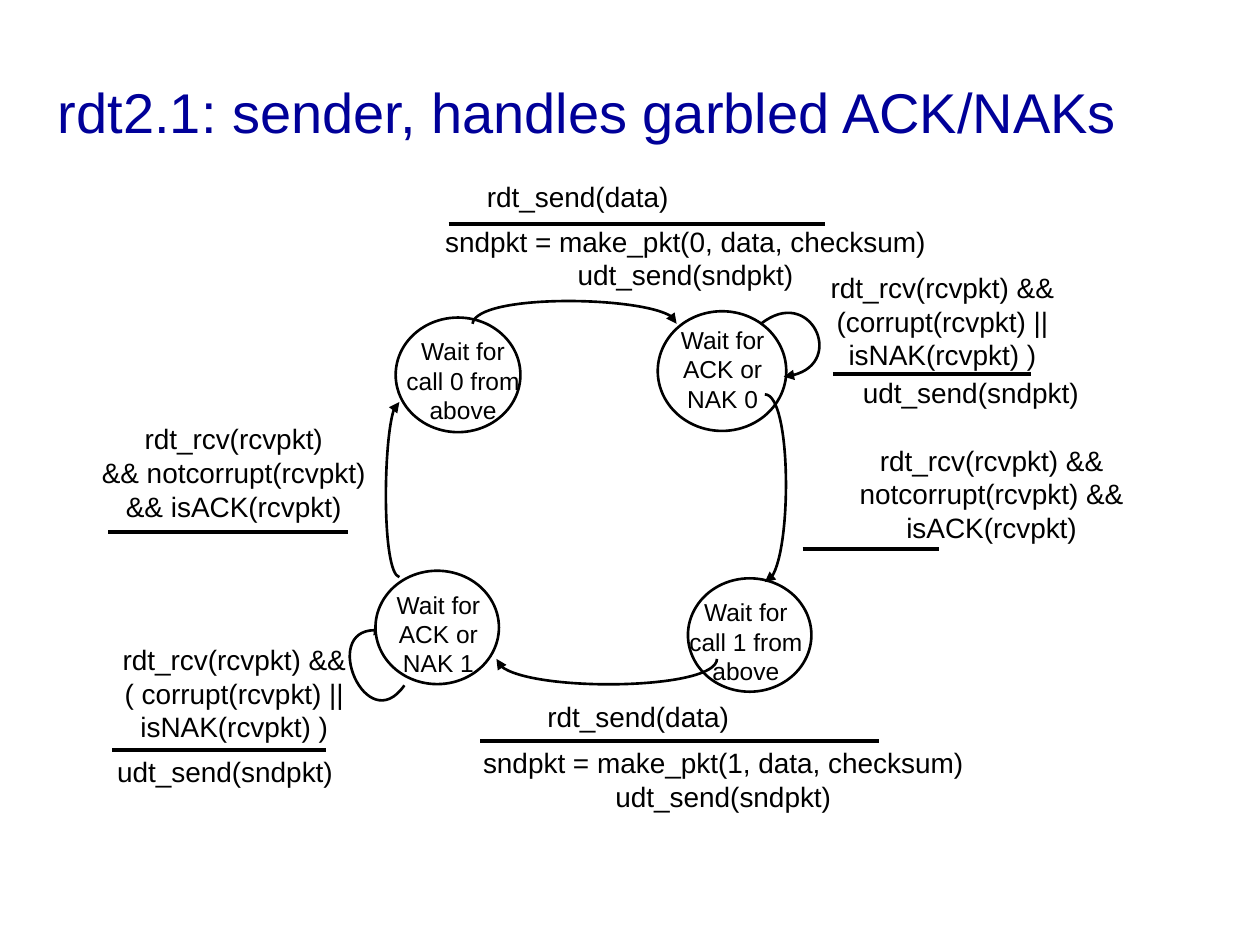
from lxml import etree
from pptx import Presentation
from pptx.dml.color import RGBColor
from pptx.enum.shapes import MSO_CONNECTOR, MSO_SHAPE
from pptx.enum.text import MSO_ANCHOR, PP_ALIGN
from pptx.oxml.ns import qn
from pptx.util import Inches, Pt

OVAL, STRAIGHT = MSO_SHAPE.OVAL, MSO_CONNECTOR.STRAIGHT
LEFT, CENTER = PP_ALIGN.LEFT, PP_ALIGN.CENTER
TOP, MIDDLE = MSO_ANCHOR.TOP, MSO_ANCHOR.MIDDLE
BLACK, WHITE, NAVY = "000000", "FFFFFF", "000099"

TITLE = "rdt2.1: sender, handles garbled ACK/NAKs"
TITLE_BOX = (0.36, 0.26, 9.05, 1.25)

# circle (left, top, width, height), text box, paragraphs
CALL_0 = ((3.14, 2.52, 0.99, 0.91), (3.08, 2.62, 1.19, 0.67),
          ["Wait for call 0 from above"])
ACK_0 = ((5.22, 2.47, 1.02, 0.95), (5.14, 2.53, 1.19, 0.71),
         ["Wait for ACK or NAK 0"])
CALL_1 = ((5.46, 4.59, 0.98, 0.9), (5.31, 4.69, 1.22, 0.67),
          ["Wait for", "call 1 from above"])
ACK_1 = ((2.98, 4.53, 0.98, 0.9), (2.91, 4.63, 1.14, 0.67),
         ["Wait for ACK or NAK 1"])

# start, two control points, arrow tip
TRANSITIONS = [
    [(3.75, 2.57), (3.78, 2.33), (5.37, 2.35), (5.37, 2.57)],
    [(6.04, 2.57), (6.43, 2.26), (6.75, 2.94), (6.22, 2.99)],
    [(6.07, 3.13), (6.28, 3.13), (6.29, 4.59), (6.07, 4.62)],
    [(5.69, 5.23), (5.69, 5.48), (3.97, 5.5), (3.94, 5.23)],
    [(3.21, 5.44), (2.91, 5.87), (2.5, 4.91), (3.05, 5.01)],
    [(3.17, 4.58), (3.03, 4.55), (3.04, 3.19), (3.17, 3.19)],
]

LABELS = [
    ((3.43, 1.38, 2.31, 0.33), ["rdt_send(data)"]),
    ((3.42, 1.73, 4.04, 0.44),
     ["sndpkt = make_pkt(0, data, checksum)", "udt_send(sndpkt)"]),
    ((6.43, 2.1, 2.1, 0.62),
     ["rdt_rcv(rcvpkt) && (corrupt(rcvpkt) || isNAK(rcvpkt) )"]),
    ((6.47, 2.93, 2.47, 0.44), ["udt_send(sndpkt)"]),
    ((6.23, 3.47, 3.28, 0.62),
     ["rdt_rcv(rcvpkt) && notcorrupt(rcvpkt) && isACK(rcvpkt)"]),
    ((3.76, 5.5, 2.61, 0.31), ["rdt_send(data)"]),
    ((3.68, 5.87, 4.12, 0.44),
     ["sndpkt = make_pkt(1, data, checksum)", "udt_send(sndpkt)"]),
    ((0.76, 5.05, 2.2, 0.62),
     ["rdt_rcv(rcvpkt) &&", "( corrupt(rcvpkt) ||", "isNAK(rcvpkt) )"]),
    ((0.79, 5.94, 1.99, 0.3), ["udt_send(sndpkt)"]),
    ((0.7, 3.3, 2.31, 0.62),
     ["rdt_rcv(rcvpkt)", "&& notcorrupt(rcvpkt)", "&& isACK(rcvpkt)"]),
]

# left, right, height on the page of the rule between event and action
RULES = [
    (3.56, 6.55, 1.78), (6.61, 8.18, 2.97), (6.37, 7.45, 4.36),
    (3.81, 6.98, 5.88), (0.89, 2.59, 5.95), (0.86, 2.76, 4.22),
]


def rgb(color):
    return RGBColor.from_string(color)


def inches(values):
    return [Inches(value) for value in values]


def write(shape, paragraphs, size, color=BLACK, align=CENTER, anchor=TOP):
    frame = shape.text_frame
    frame.word_wrap = True
    frame.vertical_anchor = anchor
    frame.text = "\n".join(paragraphs)
    for para in frame.paragraphs:
        para.alignment = align
        font = para.runs[0].font
        for name, value in {"name": "Arial", "size": Pt(size), "bold": False}.items():
            setattr(font, name, value)
        font.color.rgb = rgb(color)


def add_text(page, place, paragraphs, size):
    write(page.shapes.add_textbox(*inches(place)), paragraphs, size)


def set_line(shape, width):
    shape.line.color.rgb = rgb(BLACK)
    shape.line.width = Pt(width)


def add_state(page, circle_place, text_place, paragraphs):
    circle = page.shapes.add_shape(OVAL, *inches(circle_place))
    circle.shadow.inherit = False
    circle.fill.solid()
    circle.fill.fore_color.rgb = rgb(WHITE)
    set_line(circle, 1.5)
    add_text(page, text_place, paragraphs, 14)


def add_transition(page, points):
    """Draw one cubic Bezier curve with an arrowhead at its end."""
    start, *rest = [inches(point) for point in points]
    builder = page.shapes.build_freeform(*start)
    builder.add_line_segments(rest, close=False)
    curve = builder.convert_to_shape()
    curve.shadow.inherit = False
    curve.fill.background()
    set_line(curve, 1.5)

    outline = next(curve.element.iter(qn("a:path")))
    bezier = etree.SubElement(outline, qn("a:cubicBezTo"))
    for segment in outline.findall(qn("a:lnTo")):
        bezier.append(segment[0])
        outline.remove(segment)
    line = next(curve.element.iter(qn("a:ln")))
    etree.SubElement(line, qn("a:tailEnd"), type="triangle")


def add_rule(page, left, right, y):
    rule = page.shapes.add_connector(STRAIGHT, *inches((left, y, right, y)))
    set_line(rule, 2.25)
    etree.SubElement(rule.element.spPr, qn("a:effectLst"))


def main():
    deck = Presentation()
    deck.slide_width, deck.slide_height = Inches(10), Inches(7.5)
    page = deck.slides.add_slide(deck.slide_layouts[5])

    title = page.shapes.title
    title.left, title.top, title.width, title.height = inches(TITLE_BOX)
    write(title, [TITLE], 32, NAVY, LEFT, MIDDLE)

    for state in (CALL_0, ACK_0, CALL_1):
        add_state(page, *state)
    for points in TRANSITIONS:
        add_transition(page, points)
    for place, paragraphs in LABELS:
        add_text(page, place, paragraphs, 16)
    for rule in RULES:
        add_rule(page, *rule)
    add_state(page, *ACK_1)  # covers the ends of the curves it meets

    deck.save("out.pptx")


if __name__ == "__main__":
    main()
